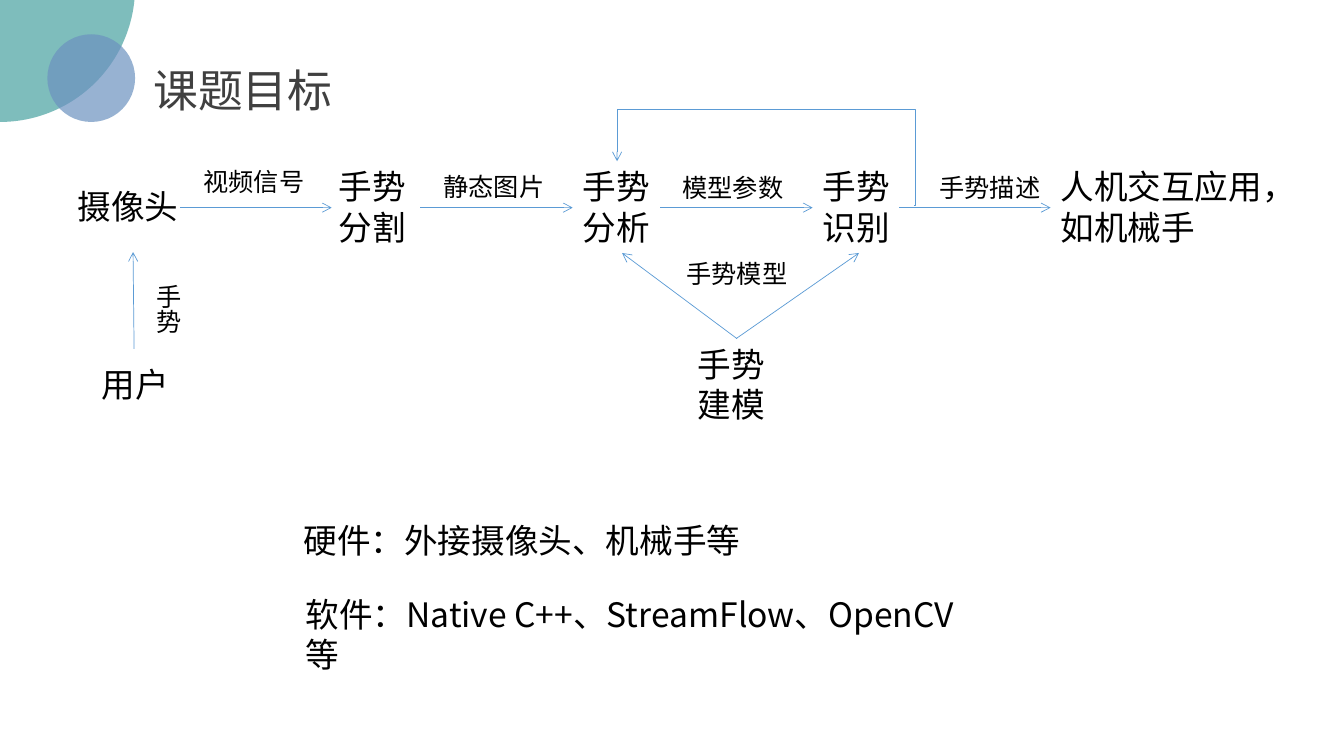
from dataclasses import dataclass

from lxml import etree
from pptx import Presentation
from pptx.dml.color import RGBColor
from pptx.enum import shapes, text
from pptx.oxml import ns
from pptx.util import Inches, Pt

FONT = "Noto Sans CJK SC"
TEAL = RGBColor(0x48, 0xA2, 0xA0)
SLATE = RGBColor(0x6C, 0x92, 0xC0)
BLUE = RGBColor(0x5B, 0x9B, 0xD5)
GREY = RGBColor(0x40, 0x40, 0x40)
BLACK = RGBColor(0, 0, 0)
NODE_SIZE, SIGNAL_SIZE = 24, 18
FLOW_Y = 2.06


@dataclass(frozen=True)
class Label:
    words: str
    left: float
    top: float
    width: float
    height: float
    size: int = NODE_SIZE
    vertical: bool = False


@dataclass(frozen=True)
class Arrow:
    x1: float
    y1: float
    x2: float
    y2: float


@dataclass(frozen=True)
class Disc:
    left: float
    top: float
    diameter: float
    color: RGBColor


TITLE = Label("课题目标", 1.42, 0.57, 2.18, 0.64, 32)
REQUIREMENTS = [
    Label("硬件：外接摄像头、机械手等", 2.91, 5.11, 6.27, 0.5),
    Label("软件：Native C++、StreamFlow、OpenCV等", 2.93, 5.84, 6.88, 0.5),
]
DISCS = [Disc(-1.34, -1.47, 2.68, TEAL), Disc(0.47, 0.34, 0.87, SLATE)]
NODES = [
    Label("用户", 0.91, 3.56, 0.96, 0.5),
    Label("摄像头", 0.67, 1.8, 1.45, 0.5),
    Label("手势分割", 3.26, 1.6, 0.91, 0.91),
    Label("手势分析", 5.68, 1.6, 1, 0.91),
    Label("手势识别", 8.06, 1.6, 0.93, 0.91),
    Label("人机交互应用，如机械手", 10.42, 1.6, 2.25, 0.91),
    Label("手势建模", 6.82, 3.36, 0.96, 0.91),
]
SIGNALS = [
    Label("手势", 1.37, 2.72, 0.5, 0.74, SIGNAL_SIZE, True),
    Label("视频信号", 1.92, 1.6, 1.25, 0.4, SIGNAL_SIZE),
    Label("静态图片", 4.3, 1.65, 1.25, 0.4, SIGNAL_SIZE),
    Label("模型参数", 6.67, 1.66, 1.27, 0.4, SIGNAL_SIZE),
    Label("手势描述", 9.22, 1.66, 1.2, 0.4, SIGNAL_SIZE),
    Label("手势模型", 6.71, 2.51, 1.23, 0.4, SIGNAL_SIZE),
]
FLOW = [(1.79, 3.29), (4.17, 5.68), (6.55, 8.06), (8.92, 10.42)]
ARROWS = [Arrow(x1, FLOW_Y, x2, FLOW_Y) for x1, x2 in FLOW] + [
    Arrow(1.33, 3.46, 1.32, 2.5),
    Arrow(7.31, 3.36, 6.17, 2.51),
    Arrow(7.3, 3.36, 8.52, 2.51),
]
FEEDBACK = Arrow(9.07, 2.04, 6.12, 1.6)
FEEDBACK_BENDS = {"adj1": -300, "adj2": 217500}


def add_xml(parent, tag: str, **attrs: str):
    return etree.SubElement(parent, ns.qn(tag), attrs)


def write(sp, words: str, *, size: int, color: RGBColor = BLACK,
          vertical: bool = False) -> None:
    tf = sp.text_frame
    tf.word_wrap = True
    tf.auto_size = text.MSO_AUTO_SIZE.SHAPE_TO_FIT_TEXT
    tf.vertical_anchor = text.MSO_ANCHOR.TOP
    if vertical:
        tf._txBody.bodyPr.set("vert", "eaVert")
    p = tf.paragraphs[0]
    p.alignment = text.PP_ALIGN.LEFT
    p.space_before = Pt(0)
    r = p.add_run()
    r.text = words
    r.font.size = Pt(size)
    r.font.name = FONT
    r.font.color.rgb = color
    add_xml(r._r.get_or_add_rPr(), "a:ea", typeface=FONT)


def fill_placeholder(sp, label: Label, color: RGBColor = BLACK) -> None:
    sp.left, sp.top = Inches(label.left), Inches(label.top)
    sp.width, sp.height = Inches(label.width), Inches(label.height)
    write(sp, label.words, size=label.size, color=color)
    pPr = sp.text_frame.paragraphs[0]._p.get_or_add_pPr()
    pPr.set("marL", "0")
    pPr.set("indent", "0")
    add_xml(pPr, "a:buNone")


def add_label(s, label: Label) -> None:
    sp = s.shapes.add_textbox(Inches(label.left), Inches(label.top),
                              Inches(label.width), Inches(label.height))
    write(sp, label.words, size=label.size, vertical=label.vertical)


def add_disc(s, disc: Disc) -> None:
    side = Inches(disc.diameter)
    sp = s.shapes.add_shape(shapes.MSO_SHAPE.OVAL, Inches(disc.left),
                            Inches(disc.top), side, side)
    sp.shadow.inherit = False
    sp.fill.solid()
    sp.fill.fore_color.rgb = disc.color
    sp.line.fill.background()
    tint = sp._element.spPr.find(".//" + ns.qn("a:srgbClr"))
    add_xml(tint, "a:alpha", val="70000")


def add_arrow(s, arrow: Arrow, kind=shapes.MSO_CONNECTOR.STRAIGHT):
    sp = s.shapes.add_connector(kind, Inches(arrow.x1), Inches(arrow.y1),
                                Inches(arrow.x2), Inches(arrow.y2))
    sp.line.color.rgb = BLUE
    sp.line.width = Pt(0.5)
    add_xml(sp.line._get_or_add_ln(), "a:tailEnd", type="arrow")
    add_xml(sp._element.spPr, "a:effectLst")
    return sp


def add_feedback(s) -> None:
    sp = add_arrow(s, FEEDBACK, shapes.MSO_CONNECTOR.ELBOW)
    spPr = sp._element.spPr
    xfrm = spPr.find(ns.qn("a:xfrm"))
    for flip in ("flipH", "flipV"):
        xfrm.attrib.pop(flip, None)
    xfrm.set("rot", "10800000")
    geom = spPr.find(ns.qn("a:prstGeom"))
    geom.set("prst", "bentConnector4")
    guides = geom.find(ns.qn("a:avLst"))
    for name, value in FEEDBACK_BENDS.items():
        add_xml(guides, "a:gd", name=name, fmla=f"val {value}")


def main() -> None:
    prs = Presentation()
    prs.slide_width, prs.slide_height = Inches(13.33), Inches(7.5)
    s = prs.slides.add_slide(prs.slide_layouts.get_by_name("Two Content"))
    title, *bodies = s.placeholders
    for disc in DISCS:
        add_disc(s, disc)
    fill_placeholder(title, TITLE, GREY)
    for body, requirement in zip(bodies, REQUIREMENTS):
        fill_placeholder(body, requirement)
    for label in NODES + SIGNALS:
        add_label(s, label)
    for arrow in ARROWS:
        add_arrow(s, arrow)
    add_feedback(s)
    prs.save("out.pptx")


if __name__ == "__main__":
    main()
